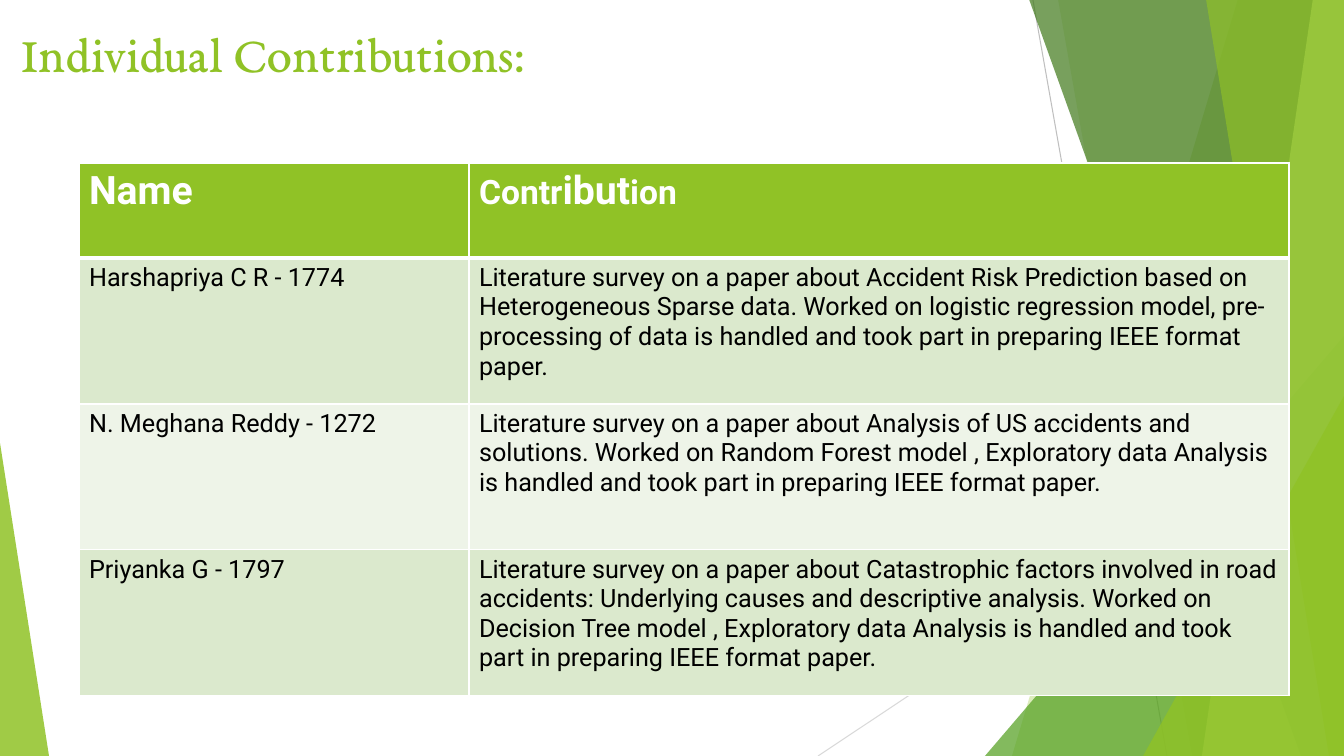
from dataclasses import dataclass

from lxml import etree
from pptx import Presentation
from pptx.dml.color import RGBColor
from pptx.enum.shapes import MSO_CONNECTOR, MSO_SHAPE
from pptx.enum.text import MSO_ANCHOR
from pptx.oxml.ns import qn
from pptx.util import Emu, Pt

EMU_PER_PX = 914400 / 100.8
SLIDE_W, SLIDE_H = 1344, 756
GREEN, WHITE, BLACK = "90C226", "FFFFFF", "000000"
DARK_BAND, LIGHT_BAND = "DBE9CD", "EEF4E8"


@dataclass
class Ray:
    start: tuple[int, int]
    end: tuple[int, int]
    color: str


@dataclass
class Facet:
    """Area from a slanted left edge to the right side of the slide."""
    top_x: int
    bottom_x: int
    color: str
    opacity: int


@dataclass
class Wedge:
    """Right triangle standing on the bottom of the slide."""
    left: int
    top: int
    width: int
    apex: int
    color: str
    opacity: int


@dataclass
class Member:
    name: str
    contribution: str


RAYS = [
    Ray((1033, 0), (1167, SLIDE_H), "BFBFBF"),
    Ray((SLIDE_W, 406), (818, SLIDE_H), "D9D9D9"),
]
DECOR = [
    Facet(1238, 1012, GREEN, 30),
    Facet(1058, 1192, GREEN, 20),
    Wedge(985, 336, 359, 1, "54A021", 72),
    Facet(1029, 1301, "3F7819", 70),
    Facet(1313, 1202, "C0E474", 70),
    Facet(1206, 1329, GREEN, 65),
    Wedge(1143, 396, 201, 1, GREEN, 80),
    Wedge(0, 443, 49, 0, GREEN, 85),
]
MEMBERS = [
    Member("Harshapriya C R - 1774",
           "Literature survey on a paper about Accident Risk Prediction based on "
           "Heterogeneous Sparse data. Worked on logistic regression model, "
           "pre-processing of data is handled and took part in preparing IEEE "
           "format paper."),
    Member("N. Meghana Reddy - 1272",
           "Literature survey on a paper about Analysis of US accidents and "
           "solutions. Worked on Random Forest model , Exploratory data Analysis "
           "is handled and took part in preparing IEEE format paper."),
    Member("Priyanka G - 1797",
           "Literature survey on a paper about Catastrophic factors involved in "
           "road accidents: Underlying causes and descriptive analysis. Worked on "
           "Decision Tree model , Exploratory data Analysis is handled and took "
           "part in preparing IEEE format paper."),
]


def px(pixels: int) -> Emu:
    return Emu(round(pixels * EMU_PER_PX))


def rgb(color: str) -> RGBColor:
    return RGBColor.from_string(color)


def add_text(frame, text: str, *, size: int, color: str, font: str = "Roboto",
             bold: bool = False) -> None:
    """Append a formatted run to the first paragraph."""
    run = frame.paragraphs[0].add_run()
    run.text = text
    run.font.size = Pt(size)
    run.font.name = font
    run.font.bold = bold
    run.font.color.rgb = rgb(color)


def paint(shape, color: str, opacity: int) -> None:
    shape.shadow.inherit = False
    shape.line.fill.background()
    shape.fill.solid()
    shape.fill.fore_color.rgb = rgb(color)
    tint = shape.fill._xPr.find(".//" + qn("a:srgbClr"))
    etree.SubElement(tint, qn("a:alpha")).set("val", str(opacity * 1000))


def draw_ray(shapes, ray: Ray) -> None:
    line = shapes.add_connector(MSO_CONNECTOR.STRAIGHT,
                                *map(px, ray.start + ray.end))
    line.line.color.rgb = rgb(ray.color)
    line.line.width = Pt(0.75)
    etree.SubElement(line._element.spPr, qn("a:effectLst"))


def draw_facet(shapes, facet: Facet) -> None:
    outline = shapes.build_freeform(facet.top_x, -1, scale=EMU_PER_PX)
    outline.add_line_segments([(SLIDE_W, -1), (SLIDE_W, SLIDE_H),
                               (facet.bottom_x, SLIDE_H)], close=True)
    paint(outline.convert_to_shape(), facet.color, facet.opacity)


def draw_wedge(shapes, wedge: Wedge) -> None:
    triangle = shapes.add_shape(
        MSO_SHAPE.ISOSCELES_TRIANGLE, px(wedge.left), px(wedge.top),
        px(wedge.width), px(SLIDE_H - wedge.top))
    triangle.adjustments[0] = wedge.apex
    paint(triangle, wedge.color, wedge.opacity)


def style_cell(cell, fill: str, bottom_width: int = 1, top_width: int = 1) -> None:
    # Borders come before the fill in the cell properties
    properties = cell._tc.get_or_add_tcPr()
    widths = {"lnL": 1, "lnR": 1, "lnT": top_width, "lnB": bottom_width}
    for side, width in widths.items():
        border = etree.SubElement(properties, qn(f"a:{side}"), w=str(Pt(width)))
        solid = etree.SubElement(border, qn("a:solidFill"))
        etree.SubElement(solid, qn("a:srgbClr"), val=WHITE)
    cell.fill.solid()
    cell.fill.fore_color.rgb = rgb(fill)


presentation = Presentation()
presentation.slide_width, presentation.slide_height = px(SLIDE_W), px(SLIDE_H)
slide = presentation.slides.add_slide(presentation.slide_layouts[6])

# Background facets
for ray in RAYS:
    draw_ray(slide.shapes, ray)
for part in DECOR:
    if isinstance(part, Facet):
        draw_facet(slide.shapes, part)
    else:
        draw_wedge(slide.shapes, part)

# Title
title = slide.shapes.add_textbox(px(12), px(17), px(948), px(145)).text_frame
title.word_wrap = True
title.vertical_anchor = MSO_ANCHOR.TOP
add_text(title, "Individual Contributions:", size=36, color=GREEN,
         font="EB Garamond")

# Contributions table
HEADER_H, MEMBER_H = 95, 146
COLUMN_WIDTHS = [390, 820]
contributions = slide.shapes.add_table(
    len(MEMBERS) + 1, len(COLUMN_WIDTHS), px(79), px(163),
    px(sum(COLUMN_WIDTHS)), px(HEADER_H + len(MEMBERS) * MEMBER_H)).table
for column, width in zip(contributions.columns, COLUMN_WIDTHS):
    column.width = px(width)

# Header row
contributions.rows[0].height = px(HEADER_H)
HEADINGS = [[("Name", 28)], [("Contr", 24), ("ibut", 28), ("ion", 24)]]
for cell, heading in zip(contributions.rows[0].cells, HEADINGS):
    style_cell(cell, GREEN, bottom_width=3)
    for text, size in heading:
        add_text(cell.text_frame, text, size=size, color=WHITE, bold=True)

# Member rows
for number, member in enumerate(MEMBERS, start=1):
    row = contributions.rows[number]
    row.height = px(MEMBER_H)
    for cell, text in zip(row.cells, (member.name, member.contribution)):
        style_cell(cell, DARK_BAND if number % 2 else LIGHT_BAND,
                   top_width=3 if number == 1 else 1)
        add_text(cell.text_frame, text, size=18, color=BLACK)

presentation.save("out.pptx")
